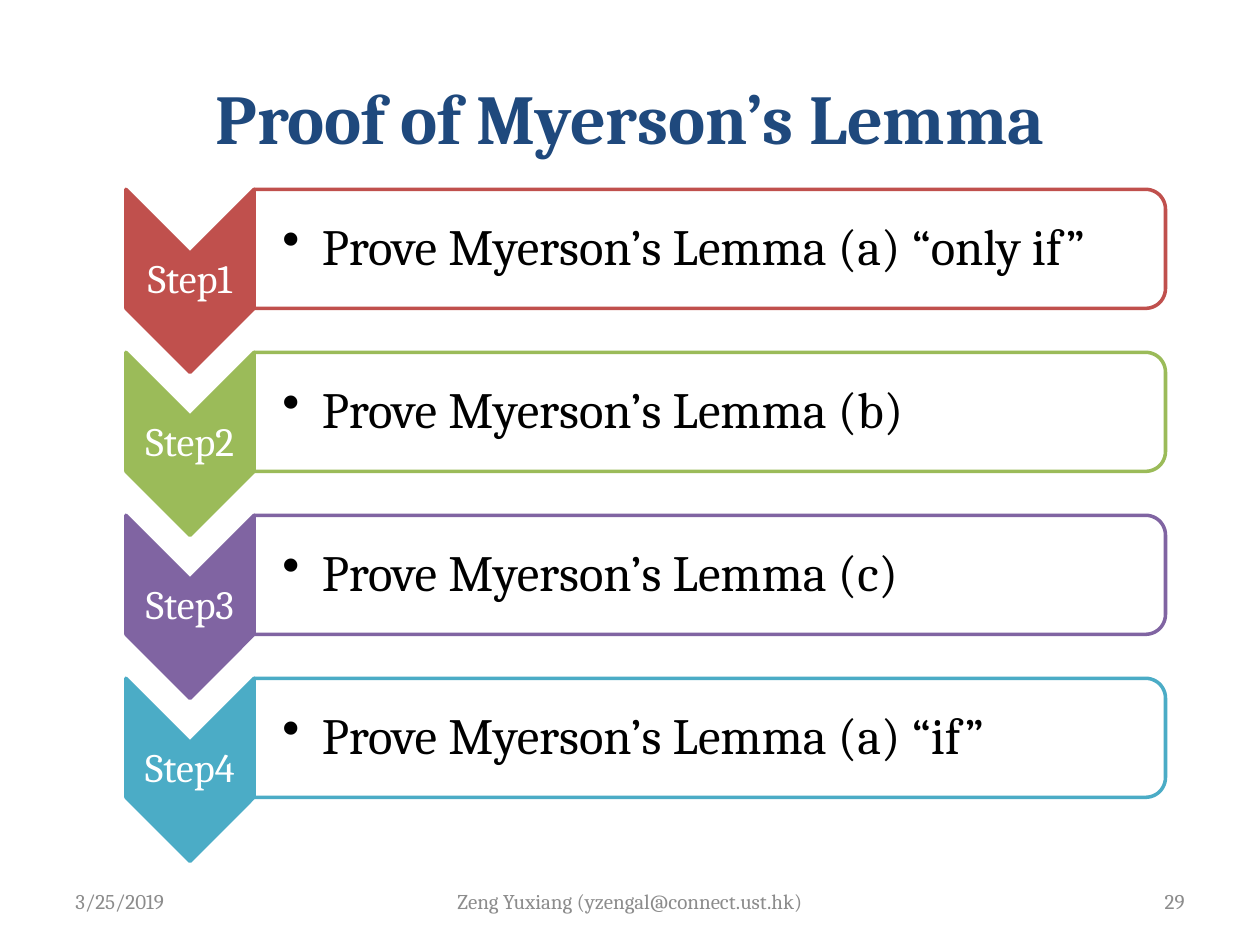
from dataclasses import dataclass
from math import cos, pi, sin

from lxml.etree import SubElement
from pptx import Presentation
from pptx.dml.color import RGBColor
from pptx.enum.text import MSO_ANCHOR as Anchor, PP_ALIGN as Align
from pptx.oxml.ns import qn
from pptx.util import Pt


@dataclass(frozen=True)
class Theme:
    font: str = "Cambria"
    title: str = "1F497D"
    footer: str = "8C8C8C"
    text: str = "000000"
    white: str = "FFFFFF"
    steps: tuple = ("C0504D", "9BBB59", "8064A2", "4BACC6")
    title_size: int = 40
    claim_size: int = 29
    step_size: int = 23
    footer_size: int = 12
    line_width: int = 2


THEME = Theme()
CLAIMS = (
    "Prove Myerson’s Lemma (a) “only if”",
    "Prove Myerson’s Lemma (b)",
    "Prove Myerson’s Lemma (c)",
    "Prove Myerson’s Lemma (a) “if”",
)


def write(shape, text, size, color, align=Align.LEFT, bold=False,
          insets=(7.2, 3.6, 7.2, 3.6), bullet_indent=0, line_spacing=1.0):
    frame = shape.text_frame
    frame.word_wrap = True
    frame.vertical_anchor = Anchor.MIDDLE
    frame.margin_left, frame.margin_top, frame.margin_right, frame.margin_bottom = map(Pt, insets)
    paragraph = frame.paragraphs[0]
    paragraph.text = text
    paragraph.alignment = align
    paragraph.line_spacing = line_spacing
    if bullet_indent:
        properties = paragraph._p.get_or_add_pPr()
        properties.set("marL", str(Pt(bullet_indent)))
        properties.set("indent", str(Pt(-bullet_indent)))
        SubElement(properties, qn("a:buChar"), char="•")
    font = paragraph.font
    font.name, font.size, font.bold = THEME.font, Pt(size), bold
    font.color.rgb = RGBColor.from_string(color)


def add_label(slide, box, *args, **options):
    write(slide.shapes.add_textbox(*map(Pt, box)), *args, **options)


def add_outline(slide, points, fill, line):
    start, *rest = [(Pt(x), Pt(y)) for x, y in points]
    builder = slide.shapes.build_freeform(*start)
    builder.add_line_segments(rest, close=True)
    shape = builder.convert_to_shape()
    shape.shadow.inherit = False
    shape.fill.solid()
    shape.fill.fore_color.rgb = RGBColor.from_string(fill)
    shape.line.color.rgb = RGBColor.from_string(line)
    shape.line.width = Pt(THEME.line_width)
    return shape


def add_chevron(slide, box, text, color):
    left, top, width, height = box
    right, middle, notch = left + width, left + width / 2, width / 2
    shoulder = top + height - notch
    points = [(right, top), (right, shoulder), (middle, top + height),
              (left, shoulder), (left, top), (middle, top + notch)]
    chevron = add_outline(slide, points, color, color)
    write(chevron, text, THEME.step_size, THEME.white, Align.CENTER,
          insets=(1.4, 37.4, 1.4, 37.4), line_spacing=0.9)


def add_claim(slide, box, text, color):
    left, top, width, height = box
    radius, segments = 11.3, 12
    center_x = left + width - radius
    angles = [pi / 2 * i / segments for i in range(segments + 1)]
    upper = [(center_x + radius * sin(a), top + radius * (1 - cos(a))) for a in angles]
    lower = [(x, 2 * top + height - y) for x, y in reversed(upper)]
    points = [(left, top), *upper, *lower, (left, top + height)]
    panel = add_outline(slide, points, THEME.white, color)
    tint = panel._element.spPr.find(qn("a:solidFill"))[0]
    SubElement(tint, qn("a:alpha"), val="90000")
    write(panel, text, THEME.claim_size, THEME.text, insets=(16.2, 5, 5, 5),
          bullet_indent=22.5, line_spacing=0.9)


def add_steps(slide, box):
    left, top, width, height = box
    chevron_width, chevron_height, claim_height = 73.2, 104.6, 68
    pitch = (height - chevron_height) / (len(CLAIMS) - 1)
    for i, (claim, color) in enumerate(zip(CLAIMS, THEME.steps)):
        y = top + i * pitch
        add_chevron(slide, (left, y, chevron_width, chevron_height), f"Step{i + 1}", color)
        add_claim(slide, (left + chevron_width, y, width - chevron_width, claim_height),
                  claim, color)


def add_footer(slide, box):
    left, top, width, height = box
    side, center = 168, 228
    parts = (
        ("3/25/2019", left, side, Align.LEFT),
        ("Zeng Yuxiang (yzengal@connect.ust.hk)", left + (width - center) / 2, center, Align.CENTER),
        ("29", left + width - side, side, Align.RIGHT),
    )
    for text, x, part_width, align in parts:
        add_label(slide, (x, top, part_width, height), text,
                  THEME.footer_size, THEME.footer, align)


def main():
    deck = Presentation()
    deck.slide_width, deck.slide_height = Pt(720), Pt(540)
    slide = deck.slides.add_slide(deck.slide_layouts[6])
    add_label(slide, (36, 21.6, 648, 90), "Proof of Myerson’s Lemma",
              THEME.title_size, THEME.title, Align.CENTER, bold=True)
    add_steps(slide, (72, 108.2, 594, 384))
    add_footer(slide, (36, 500.5, 648, 28.75))
    deck.save("out.pptx")


if __name__ == "__main__":
    main()
